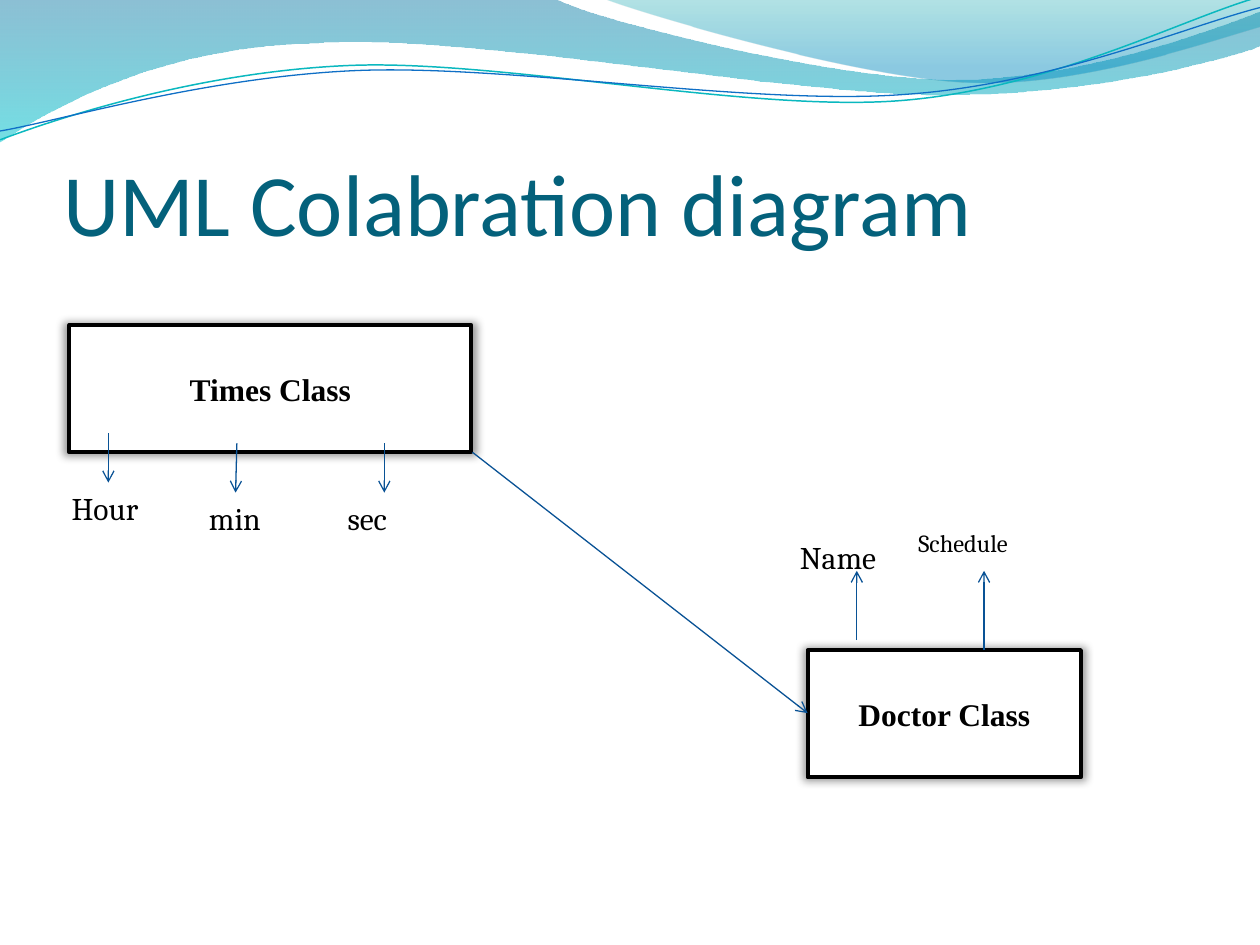
from math import cos, radians, sin

from lxml import etree
from pptx import Presentation
from pptx.dml.color import RGBColor
from pptx.enum.shapes import MSO_CONNECTOR, MSO_SHAPE
from pptx.enum.text import MSO_ANCHOR, MSO_AUTO_SIZE, PP_ALIGN
from pptx.oxml.ns import qn
from pptx.util import Inches, Pt

STRAIGHT = MSO_CONNECTOR.STRAIGHT
RECTANGLE = MSO_SHAPE.RECTANGLE
MIDDLE, BOTTOM = MSO_ANCHOR.MIDDLE, MSO_ANCHOR.BOTTOM
LEFT, CENTER = PP_ALIGN.LEFT, PP_ALIGN.CENTER
NO_AUTO_SIZE, FIT_SHAPE = MSO_AUTO_SIZE.NONE, MSO_AUTO_SIZE.SHAPE_TO_FIT_TEXT
TITLE_ONLY = 5
WAVE_TILT = -2.7
WAVE_CENTER = (4.99, 0.58)

BANDS = [
    ([(0, 0), (4.4, -0.01),
      (4.76, 0.17, 6.64, 0.63, 7.58, 0.63),
      (8.53, 0.63, 9.58, 0.26, 10, 0.09), (10.01, 0.36),
      (9.83, 0.44, 8.7, 0.76, 7.46, 0.75),
      (6.22, 0.75, 3.82, 0.28, 2.57, 0.34),
      (1.29, 0.36, 0.46, 0.83, -0.01, 1.13)],
     [(0, "0074A1", 45), (1, "00C6CF", 55)]),
    ([(4.79, -0.01),
      (5.09, 0.11, 6.82, 0.62, 7.69, 0.65),
      (8.56, 0.69, 9.61, 0.32, 10, 0.21), (10, 0)],
     [(0, "00A1A9", 30), (0.8, "008BBF", 45)]),
]
WAVES = [
    ([(0, 1.11), (0.48, 0.93, 1.58, 0.57, 2.77, 0.52),
      (3.95, 0.47, 5.93, 0.89, 7.13, 0.8),
      (8.33, 0.71, 9.38, 0.15, 9.98, -0.02)], "0AB8BF", 0.85),
    ([(0, 1.04), (0.47, 0.96, 1.64, 0.61, 2.83, 0.56),
      (4.03, 0.51, 5.97, 0.84, 7.17, 0.75),
      (8.36, 0.67, 9.41, 0.21, 10, 0.06)], "0F6FC6", 0.75),
]
CLASSES = [
    ("Times Class", 0.55, 2.58, 3.19),
    ("Doctor Class", 6.41, 5.16, 2.17),
]
ARROWS = [
    (3.75, 3.59, 6.41, 5.66),
    (0.86, 3.44, 0.86, 3.83),
    (1.88, 3.52, 1.87, 3.91),
    (3.05, 3.52, 3.05, 3.91),
    (6.8, 5.08, 6.8, 4.53),
    (7.81, 5.16, 7.81, 4.53),
]
ATTRIBUTES = [
    ("Hour", 0.47, 3.83, 0.94, 0.4, 18),
    ("min", 1.56, 3.91, 0.94, 0.4, 18),
    ("sec", 2.66, 3.91, 0.75, 0.4, 18),
    ("Name", 6.25, 4.22, 1.25, 0.4, 18),
    ("Schedule", 7.19, 4.14, 1.09, 0.34, 14),
]


def color(value):
    return RGBColor.from_string(value)


def set_line(shape, value, width):
    shape.line.color.rgb = color(value)
    shape.line.width = Pt(width)


def write(paragraph, text, font, size, value, align=LEFT, bold=False):
    paragraph.text = text
    paragraph.alignment = align
    paragraph.font.name = font
    paragraph.font.size = Pt(size)
    paragraph.font.bold = bold
    paragraph.font.color.rgb = color(value)


def pairs(segment):
    return list(zip(segment[::2], segment[1::2]))


def turn(segment, degrees):
    center_x, center_y = WAVE_CENTER
    sine, cosine = sin(radians(degrees)), cos(radians(degrees))
    turned = []
    for x, y in pairs(segment):
        across, down = x - center_x, y - center_y
        turned.append(center_x + across * cosine - down * sine)
        turned.append(center_y + across * sine + down * cosine)
    return turned


def add_outline(slide, segments, close):
    anchors = [tuple(map(Inches, segment[-2:])) for segment in segments]
    builder = slide.shapes.build_freeform(*anchors[0])
    builder.add_line_segments(anchors[1:], close=close)
    shape = builder.convert_to_shape()
    shape.shadow.inherit = False
    lines = list(shape.element.iter(qn("a:lnTo")))
    for line, segment in zip(lines, segments[1:]):
        if len(segment) == 2:
            continue
        curve = etree.Element(qn("a:cubicBezTo"))
        for x, y in pairs(segment):
            etree.SubElement(curve, qn("a:pt"), x=str(Inches(x) - shape.left),
                             y=str(Inches(y) - shape.top))
        line.getparent().replace(line, curve)
    return shape


def add_band(slide, segments, stops):
    shape = add_outline(slide, segments, True)
    shape.line.fill.background()
    shape.fill.gradient()
    shape.fill.gradient_angle = 270
    for stop, (position, value, _) in zip(shape.fill.gradient_stops, stops):
        stop.position = position
        stop.color.rgb = color(value)
    fill = shape.element.spPr.find(qn("a:gradFill"))
    for element, (_, _, opacity) in zip(fill.iter(qn("a:srgbClr")), stops):
        etree.SubElement(element, qn("a:alpha"), val=str(opacity * 1000))


def add_wave(slide, segments, value, width):
    level = [turn(segment, -WAVE_TILT) for segment in segments]
    shape = add_outline(slide, level, False)
    shape.rotation = WAVE_TILT
    shape.fill.background()
    set_line(shape, value, width)


def add_title(slide, text):
    title = slide.shapes.title
    title.left, title.top = Inches(0.5), Inches(0.77)
    title.width, title.height = Inches(9), Inches(1.25)
    frame = title.text_frame
    frame.auto_size = NO_AUTO_SIZE
    frame.vertical_anchor = BOTTOM
    frame.margin_left = frame.margin_right = frame.margin_bottom = 0
    frame.margin_top = Inches(0.05)
    write(frame.paragraphs[0], text, "Calibri", 50, "04617B")


def add_class(slide, name, left, top, width):
    shape = slide.shapes.add_shape(
        RECTANGLE, Inches(left), Inches(top), Inches(width), Inches(1.01))
    shape.fill.solid()
    shape.fill.fore_color.rgb = color("FFFFFF")
    set_line(shape, "000000", 2.25)
    shape.shadow.inherit = False
    effects = shape.element.spPr.find(qn("a:effectLst"))
    shadow = etree.SubElement(
        effects, qn("a:outerShdw"), blurRad=str(Pt(5)), sx="102000", sy="102000",
        algn="ctr", rotWithShape="0")
    shade = etree.SubElement(shadow, qn("a:srgbClr"), val="000000")
    etree.SubElement(shade, qn("a:alpha"), val="40000")
    shape.text_frame.vertical_anchor = MIDDLE
    write(shape.text_frame.paragraphs[0], name, "Times New Roman", 18, "000000", CENTER, True)


def add_arrow(slide, *ends):
    connector = slide.shapes.add_connector(STRAIGHT, *map(Inches, ends))
    set_line(connector, "095295", 0.75)
    properties = connector.element.spPr
    etree.SubElement(properties.find(qn("a:ln")), qn("a:tailEnd"), type="arrow")
    etree.SubElement(properties, qn("a:effectLst"))


def add_attribute(slide, name, left, top, width, height, size):
    box = slide.shapes.add_textbox(*map(Inches, (left, top, width, height)))
    box.text_frame.word_wrap = True
    box.text_frame.auto_size = FIT_SHAPE
    write(box.text_frame.paragraphs[0], name, "Cambria", size, "000000")


def main():
    presentation = Presentation()
    presentation.slide_width, presentation.slide_height = Inches(10), Inches(7.5)
    slide = presentation.slides.add_slide(presentation.slide_layouts[TITLE_ONLY])
    for band in BANDS:
        add_band(slide, *band)
    for wave in WAVES:
        add_wave(slide, *wave)
    add_title(slide, "UML Colabration diagram")
    for item in CLASSES:
        add_class(slide, *item)
    for arrow in ARROWS:
        add_arrow(slide, *arrow)
    for attribute in ATTRIBUTES:
        add_attribute(slide, *attribute)
    presentation.save("out.pptx")


main()
